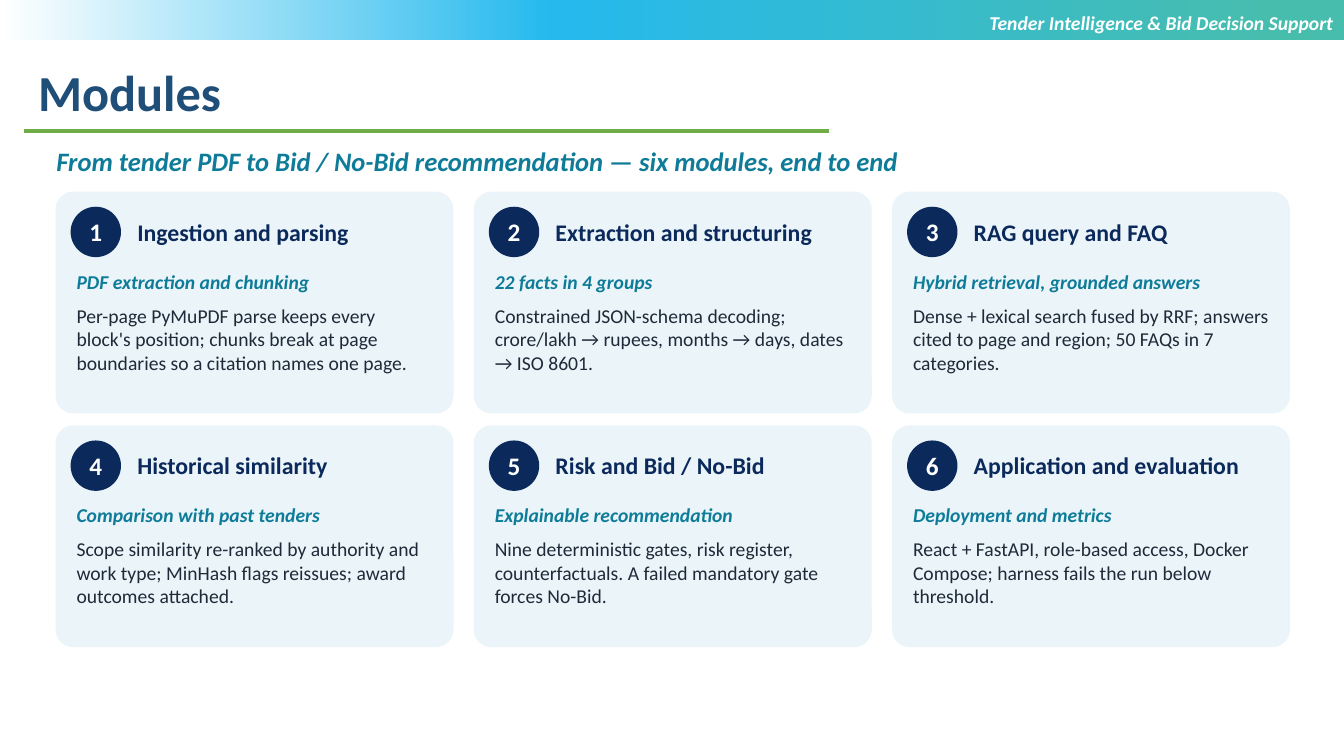
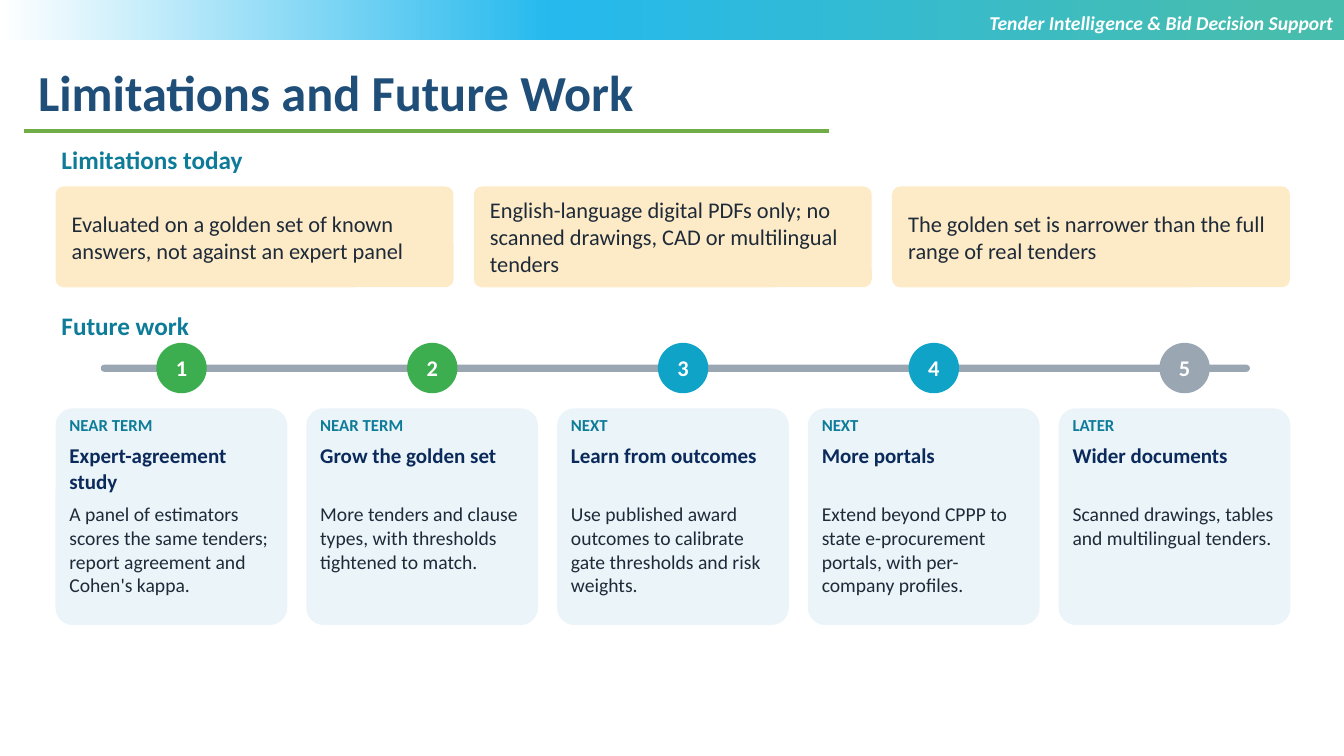
from copy import deepcopy

from pptx import Presentation
from pptx.dml.color import RGBColor
from pptx.enum.shapes import MSO_CONNECTOR, MSO_SHAPE
from pptx.enum.text import MSO_ANCHOR, MSO_AUTO_SIZE, PP_ALIGN
from pptx.oxml.ns import qn
from pptx.oxml.xmlchemy import OxmlElement
from pptx.util import Cm, Pt

RECT, ROUND, OVAL = MSO_SHAPE.RECTANGLE, MSO_SHAPE.ROUNDED_RECTANGLE, MSO_SHAPE.OVAL
TOP, MIDDLE = MSO_ANCHOR.TOP, MSO_ANCHOR.MIDDLE
LEFT, CENTER, RIGHT = PP_ALIGN.LEFT, PP_ALIGN.CENTER, PP_ALIGN.RIGHT

TAG = "Tender Intelligence & Bid Decision Support"

MODULES = {
    "title": "Modules",
    "lead": "From tender PDF to Bid / No-Bid recommendation — six modules, end to end",
    "cards": [
        ("Ingestion and parsing", "PDF extraction and chunking",
         "Per-page PyMuPDF parse keeps every block's position; chunks break at page "
         "boundaries so a citation names one page."),
        ("Extraction and structuring", "22 facts in 4 groups",
         "Constrained JSON-schema decoding; crore/lakh → rupees, months → days, "
         "dates → ISO 8601."),
        ("RAG query and FAQ", "Hybrid retrieval, grounded answers",
         "Dense + lexical search fused by RRF; answers cited to page and region; "
         "50 FAQs in 7 categories."),
        ("Historical similarity", "Comparison with past tenders",
         "Scope similarity re-ranked by authority and work type; MinHash flags "
         "reissues; award outcomes attached."),
        ("Risk and Bid / No-Bid", "Explainable recommendation",
         "Nine deterministic gates, risk register, counterfactuals. A failed "
         "mandatory gate forces No-Bid."),
        ("Application and evaluation", "Deployment and metrics",
         "React + FastAPI, role-based access, Docker Compose; harness fails the run "
         "below threshold."),
    ],
}

OUTLOOK = {
    "title": "Limitations and Future Work",
    "limits": ("Limitations today", [
        "Evaluated on a golden set of known answers, not against an expert panel",
        "English-language digital PDFs only; no scanned drawings, CAD or "
        "multilingual tenders",
        "The golden set is narrower than the full range of real tenders",
    ]),
    "future": ("Future work", [
        ("NEAR TERM", "Expert-agreement study",
         "A panel of estimators scores the same tenders; report agreement and "
         "Cohen's kappa."),
        ("NEAR TERM", "Grow the golden set",
         "More tenders and clause types, with thresholds tightened to match."),
        ("NEXT", "Learn from outcomes",
         "Use published award outcomes to calibrate gate thresholds and risk weights."),
        ("NEXT", "More portals",
         "Extend beyond CPPP to state e-procurement portals, with per-company profiles."),
        ("LATER", "Wider documents",
         "Scanned drawings, tables and multilingual tenders."),
    ]),
}


class Theme:
    font = "Calibri"
    navy, teal, ink, white = "0B2A5B", "0E7C99", "1E2A38", "FFFFFF"
    pale, sand, rule, grey = "EAF4F9", "FDEBC8", "70AD47", "9AA7B3"
    band = [(0.05, "47BDAE"), (0.59, "25B9ED"), (1, white)]
    stage = {"NEAR TERM": "3DAE4F", "NEXT": "0FA3C7", "LATER": grey}
    # Each type style: size, colour, bold, italic
    type = {
        "title": (36, "1F4E79", True, False),
        "tag": (14, white, True, True),
        "lead": (19, teal, True, True),
        "section": (18, teal, True, False),
        "number": (18, white, True, False),
        "step": (16, white, True, False),
        "head": (17, navy, True, False),
        "sub": (14, teal, True, True),
        "body": (14, ink, False, False),
        "limit": (16, ink, False, False),
        "stage": (12, teal, True, False),
        "goal": (15, navy, True, False),
    }


WIDE, HIGH = 33.87, 19.05
EDGE, GAP = 1.4, 0.51      # left margin and space between columns
COL, DISC = 10.03, 1.27    # width of a third, diameter of a number disc
PAD = (0.15, 0.08)


def rgb(code):
    return RGBColor.from_string(code)


def write(frame, text, style, align=LEFT, anchor=TOP, pad=PAD):
    side, edge = (Cm(n) for n in pad)
    form = {"word_wrap": True, "auto_size": MSO_AUTO_SIZE.NONE,
            "vertical_anchor": anchor, "margin_left": side, "margin_right": side,
            "margin_top": edge, "margin_bottom": edge}
    for name, value in form.items():
        setattr(frame, name, value)
    frame.text = text
    para = frame.paragraphs[0]
    para.alignment = align
    size, color, bold, slant = Theme.type[style]
    font = para.runs[0].font
    face = {"name": Theme.font, "size": Pt(size), "bold": bold, "italic": slant}
    for name, value in face.items():
        setattr(font, name, value)
    font.color.rgb = rgb(color)


def label(slide, box, text, style, **form):
    shape = slide.shapes.add_textbox(*map(Cm, box))
    write(shape.text_frame, text, style, **form)
    return shape


def block(slide, kind, box, color=None, bend=None):
    shape = slide.shapes.add_shape(kind, *map(Cm, box))
    shape.shadow.inherit = False
    shape.line.fill.background()
    if color:
        shape.fill.solid()
        shape.fill.fore_color.rgb = rgb(color)
    if bend is not None:
        shape.adjustments[0] = bend
    return shape


def card(slide, box, color=Theme.pale):
    return block(slide, ROUND, box, color, 0.08)


def disc(slide, x, y, count, color, style):
    shape = block(slide, OVAL, (x, y, DISC, DISC), color)
    write(shape.text_frame, str(count), style, CENTER, MIDDLE, (0, 0.08))


def band(slide):
    shape = block(slide, RECT, (0, 0, WIDE, 1.02))
    shape.fill.gradient()
    shape.fill.gradient_angle = 180
    stops = shape.element.find(".//" + qn("a:gsLst"))
    stops.append(deepcopy(stops[0]))
    for stop, (place, color) in zip(shape.fill.gradient_stops, Theme.band):
        stop.position = place
        stop.color.rgb = rgb(color)
    return shape


def rule(slide):
    line = slide.shapes.add_connector(
        MSO_CONNECTOR.STRAIGHT, Cm(0.61), Cm(3.3), Cm(20.9), Cm(3.3))
    line.line.color.rgb = rgb(Theme.rule)
    line.line.width = Pt(2.25)
    line.element.spPr.append(OxmlElement("a:effectLst"))
    return line


def dress(deck, layout):
    """Place the title, band, rule and tag on the layout that all slides use."""
    for item in list(layout.placeholders):
        if item.placeholder_format.idx:
            item.element.getparent().remove(item.element)
        else:
            item.left, item.top, item.width, item.height = map(
                Cm, (0.71, 1.4, 29.51, 1.78))
    slide = deck.slides[0]
    tag = label(slide, (16.92, 0.15, 16.94, 0.85), TAG, "tag",
                align=RIGHT, pad=(0.25, 0.13))
    for part in (band(slide), rule(slide), tag):
        layout.shapes.element.append(part.element)


def start(deck, layout, title):
    slide = deck.slides.add_slide(layout)
    write(slide.shapes.title.text_frame, title, "title", pad=(0.25, 0.13))
    return slide


def modules(slide, data):
    label(slide, (1.27, 3.56, 31.24, 0.97), data["lead"], "lead")
    for i, (head, sub, body) in enumerate(data["cards"]):
        row, col = divmod(i, 3)
        x, y = EDGE + col * (COL + GAP), 4.83 + row * 5.89
        card(slide, (x, y, COL, 5.59))
        left, span = x + 0.38, COL - 0.76
        disc(slide, left, y + 0.38, i + 1, Theme.navy, "number")
        label(slide, (x + 1.91, y + 0.58, 7.75, 0.86), head, "head", anchor=MIDDLE)
        label(slide, (left, y + 1.88, span, 0.74), sub, "sub")
        label(slide, (left, y + 2.74, span, 2.5), body, "body")


def limits(slide, head, items):
    label(slide, (EDGE, 3.56, 15.24, 0.91), head, "section")
    for i, text in enumerate(items):
        box = (EDGE + i * (COL + GAP), 4.7, COL, 2.54)
        shape = card(slide, box, Theme.sand)
        write(shape.text_frame, text, "limit", anchor=MIDDLE, pad=(0.35, 0.08))


def future(slide, head, steps):
    label(slide, (EDGE, 7.75, 15.24, 0.91), head, "section")
    block(slide, ROUND, (2.54, 9.19, 28.96, 0.18), Theme.grey, 0.5)
    y, span = 10.29, 5.84
    for i, (stage, goal, body) in enumerate(steps):
        x = EDGE + i * 6.32
        disc(slide, x + 2.54, 8.64, i + 1, Theme.stage[stage], "step")
        card(slide, (x, y, span, 5.46))
        rows = [(0.08, 0.66, stage, "stage"), (0.79, 1.42, goal, "goal"),
                (2.29, 3.1, body, "body")]
        for drop, tall, text, style in rows:
            label(slide, (x + 0.2, y + drop, span - 0.4, tall), text, style)


def main():
    deck = Presentation()
    deck.slide_width, deck.slide_height = Cm(WIDE), Cm(HIGH)
    layout = deck.slide_layouts.get_by_name("Title Only")
    first, second = [start(deck, layout, data["title"]) for data in (MODULES, OUTLOOK)]
    dress(deck, layout)
    modules(first, MODULES)
    limits(second, *OUTLOOK["limits"])
    future(second, *OUTLOOK["future"])
    deck.save("out.pptx")


if __name__ == "__main__":
    main()
